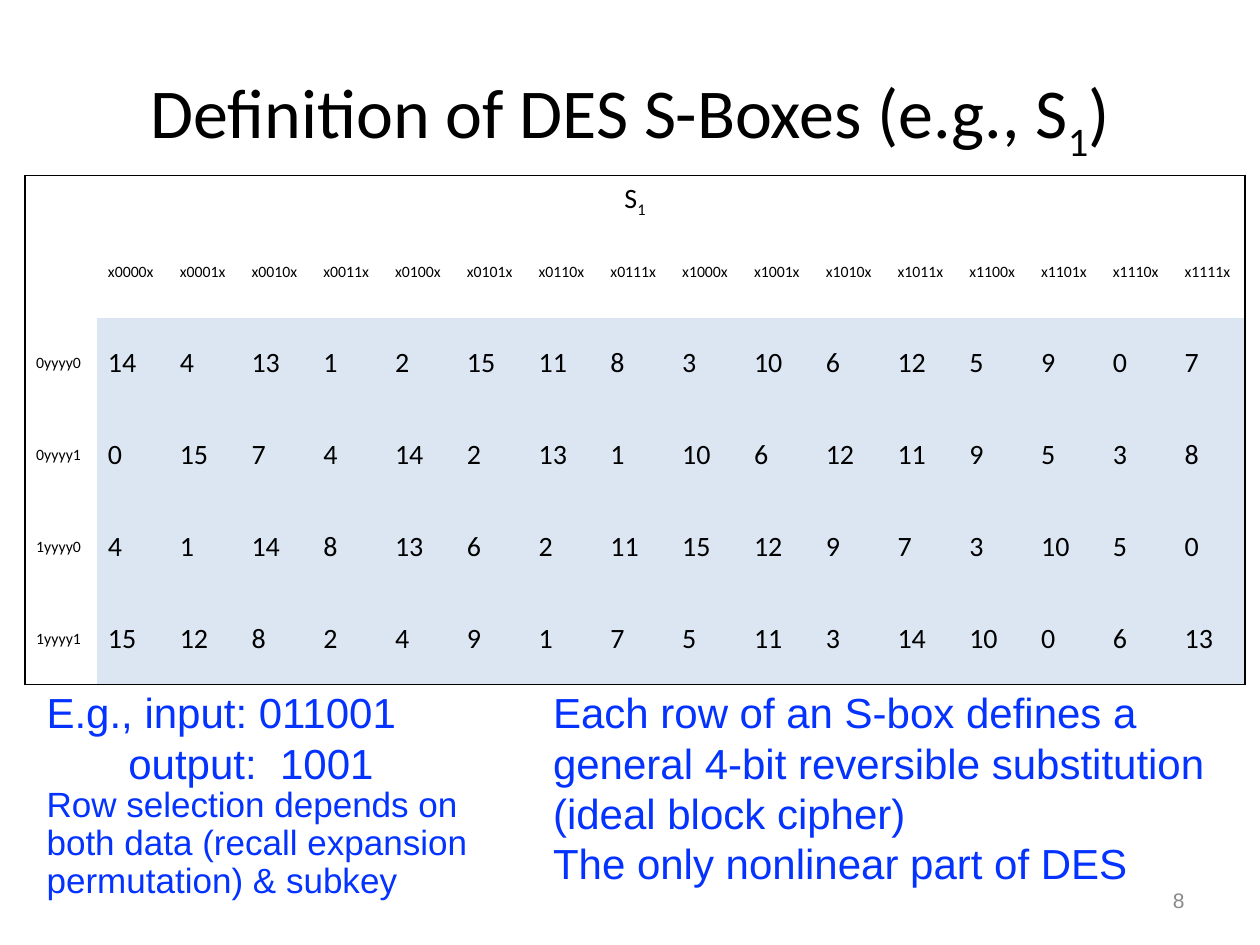
import pptx
import pptx.dml.color
import pptx.enum.text
import pptx.oxml
import pptx.oxml.ns
import pptx.util
from pptx.util import Cm

COLORS = {"ink": "000000", "blue": "0432FF", "gray": "898989", "cell": "DCE6F2"}
ALIGN = pptx.enum.text.PP_ALIGN
ANCHOR = pptx.enum.text.MSO_ANCHOR


def style(paragraph, size, font, color, align=ALIGN.LEFT):
    """Format every run; a run that is just "1" beside others is a subscript."""
    paragraph.alignment = align
    for span in paragraph.runs:
        span.font.size = pptx.util.Pt(size)
        span.font.name = font
        span.font.color.rgb = pptx.dml.color.RGBColor.from_string(COLORS[color])
        if span.text == "1" and len(paragraph.runs) > 1:
            span.font._element.set("baseline", "-25000")


def add_text(left, top, width, height, anchor=ANCHOR.TOP):
    frame = page.shapes.add_textbox(Cm(left), Cm(top), Cm(width), Cm(height)).text_frame
    frame.word_wrap = True
    frame.vertical_anchor = anchor
    return frame


deck = pptx.Presentation()
deck.slide_width, deck.slide_height = Cm(25.4), Cm(19.05)
page = deck.slides.add_slide(deck.slide_layouts[6])

# Title and page number
title = add_text(1.27, 0.76, 22.86, 3.18, ANCHOR.MIDDLE).paragraphs[0]
for part in ("Definition of DES S-Boxes (e.g., S", "1", ")"):
    title.add_run().text = part
style(title, 40, "Calibri", "ink", ALIGN.CENTER)

number = add_text(18.2, 17.65, 5.93, 1.01, ANCHOR.MIDDLE)
number.text = "8"
style(number.paragraphs[0], 12, "Arial", "gray", ALIGN.RIGHT)

# S-box table: one row per outer bit pair, one column per inner four bits
substitutions = {
    "0yyyy0": [14, 4, 13, 1, 2, 15, 11, 8, 3, 10, 6, 12, 5, 9, 0, 7],
    "0yyyy1": [0, 15, 7, 4, 14, 2, 13, 1, 10, 6, 12, 11, 9, 5, 3, 8],
    "1yyyy0": [4, 1, 14, 8, 13, 6, 2, 11, 15, 12, 9, 7, 3, 10, 5, 0],
    "1yyyy1": [15, 12, 8, 2, 4, 9, 1, 7, 5, 11, 3, 14, 10, 0, 6, 13],
}
rows = [[""] * 17, [""] + [f"x{value:04b}x" for value in range(16)]]
rows += [[label, *values] for label, values in substitutions.items()]
last_row, last_column = len(rows) - 1, len(rows[0]) - 1

table_frame = page.shapes.add_table(len(rows), len(rows[0]), Cm(0.5), Cm(3.54), Cm(24.6), Cm(10.16))
table = table_frame.table
table.first_row = table.horz_banding = False
NO_STYLE_NO_GRID = "{2D5ABB26-0587-4C30-8999-92F81FD0307C}"
table._tbl.tblPr.find(pptx.oxml.ns.qn("a:tableStyleId")).text = NO_STYLE_NO_GRID
for column in table.columns:
    column.width = Cm(24.6 / 17)
for index, row in enumerate(table.rows):
    row.height = Cm(0.91 if index == 0 else 1.85)

for r, values in enumerate(rows):
    for c, value in enumerate(values):
        cell = table.cell(r, c)
        cell.vertical_anchor = ANCHOR.MIDDLE
        cell.margin_left = cell.margin_right = Cm(0.23)
        cell.margin_top = cell.margin_bottom = Cm(0.12)
        is_value = r > 1 and c > 0
        cell.text_frame.text = str(value)
        style(cell.text_frame.paragraphs[0], 16 if is_value else 9, "Calibri", "ink")
        if is_value:
            cell.fill.solid()
            cell.fill.fore_color.rgb = pptx.dml.color.RGBColor.from_string(COLORS["cell"])
        else:
            cell.fill.background()
        outer_sides = {
            "lnL": c == 0,
            "lnR": c == last_column or (r == 0 and c == 0),
            "lnT": r == 0,
            "lnB": r == last_row,
        }
        borders = [side for side, is_outer in outer_sides.items() if is_outer]
        for position, side in enumerate(borders):
            line = pptx.oxml.parse_xml(
                f'<a:{side} {pptx.oxml.ns.nsdecls("a")} w="12700"><a:solidFill>'
                f'<a:srgbClr val="{COLORS["ink"]}"/></a:solidFill></a:{side}>')
            cell._tc.get_or_add_tcPr().insert(position, line)

table.cell(0, 0).merge(table.cell(0, last_column))
heading = table.cell(0, 0).text_frame.paragraphs[0]
for part in ("S", "1"):
    heading.add_run().text = part
style(heading, 16, "Calibri", "ink", ALIGN.CENTER)

# Notes under the table
example = add_text(0.69, 13.72, 9.02, 4.62)
example.text = ("E.g., input: 011001\noutput:  1001\n"
                "Row selection depends on both data (recall expansion permutation) & subkey")
for paragraph, size in zip(example.paragraphs, (24, 24, 20)):
    style(paragraph, size, "Arial", "blue")
example.paragraphs[1]._p.get_or_add_pPr().set("marL", str(Cm(1.65)))
example.paragraphs[2].line_spacing = 0.9

remarks = add_text(10.9, 13.72, 14.2, 4.37)
remarks.text = ("Each row of an S-box defines a general 4-bit reversible substitution "
                "(ideal block cipher)\nThe only nonlinear part of DES")
for paragraph in remarks.paragraphs:
    style(paragraph, 24, "Arial", "blue")

deck.save("out.pptx")
